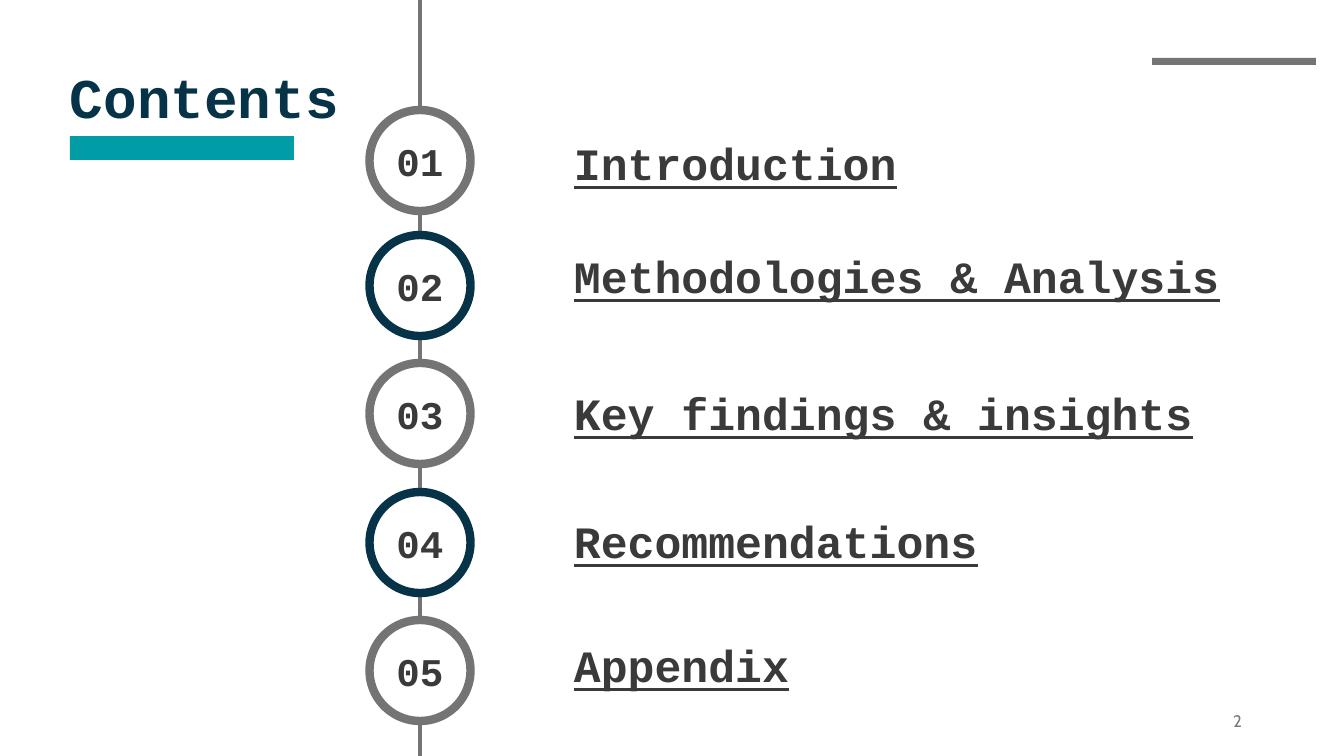
from pptx import Presentation
from pptx import util as u
from pptx.dml.color import RGBColor
from pptx.enum import shapes, text
from pptx.oxml.ns import qn
from lxml import etree

PX = 914400 / 100.8  # EMU in one px
GREY = RGBColor(0x74, 0x74, 0x74)
NAVY = RGBColor(0x06, 0x33, 0x48)
TEAL = RGBColor(0x00, 0x9D, 0xA6)
INK = RGBColor(0x3A, 0x3A, 0x3A)
PAGE_GREY = RGBColor(0x79, 0x79, 0x79)
WHITE = RGBColor(0xFF, 0xFF, 0xFF)

MONO = "Courier New"
AXIS_X = 420
CIRCLE = 101
# entry, top of its circle, top of its label
ENTRIES = [
    ("Introduction", 110, 131),
    ("Methodologies & Analysis", 235, 244),
    ("Key findings & insights", 363, 381),
    ("Recommendations", 492, 509),
    ("Appendix", 620, 633),
]


def px(*lengths):
    return [u.Emu(round(n * PX)) for n in lengths]


def write(tf, words, size, color, name=MONO, bold=True, underline=None,
          align=text.PP_ALIGN.LEFT, anchor=text.MSO_ANCHOR.TOP):
    tf.word_wrap = True
    tf.vertical_anchor = anchor
    p = tf.paragraphs[0]
    p.text = words
    p.alignment = align
    font = p.font
    font.name, font.size, font.bold = name, u.Pt(size), bold
    font.underline = underline
    font.color.rgb = color


def add_text(s, box, words, size, color, **style):
    write(s.shapes.add_textbox(*px(*box)).text_frame, words, size, color, **style)


def add_filled(s, kind, box, fill):
    sp = s.shapes.add_shape(kind, *px(*box))
    sp.shadow.inherit = False
    sp.fill.solid()
    sp.fill.fore_color.rgb = fill
    sp.line.fill.background()
    return sp


def add_bar(s, box, fill):
    add_filled(s, shapes.MSO_SHAPE.RECTANGLE, box, fill)


def add_axis(s):
    line = s.shapes.add_connector(shapes.MSO_CONNECTOR.STRAIGHT,
                                  *px(AXIS_X, 0, AXIS_X, 756))
    line.line.color.rgb = GREY
    line.line.width = u.Pt(3)
    etree.SubElement(line._element.spPr, qn("a:effectLst"))


def add_number(s, top, number, color):
    box = (AXIS_X - CIRCLE / 2, top, CIRCLE, CIRCLE)
    sp = add_filled(s, shapes.MSO_SHAPE.OVAL, box, WHITE)
    sp.line.color.rgb = color
    sp.line.width = u.Pt(6)
    write(sp.text_frame, f"{number:02}", 28, INK,
          align=text.PP_ALIGN.CENTER, anchor=text.MSO_ANCHOR.MIDDLE)


def main():
    prs = Presentation()
    prs.slide_width, prs.slide_height = px(1344, 756)
    s = prs.slides.add_slide(prs.slide_layouts[6])

    add_bar(s, (1152, 58, 164, 7), GREY)
    add_text(s, (60, 58, 672, 78), "Contents", 40, NAVY)
    add_text(s, (950, 701, 302, 40), "2", 12, PAGE_GREY, name="Cabin", bold=False,
             align=text.PP_ALIGN.RIGHT, anchor=text.MSO_ANCHOR.MIDDLE)
    add_bar(s, (70, 136, 224, 24), TEAL)

    add_axis(s)
    for number, (entry, circle_top, label_top) in enumerate(ENTRIES, 1):
        add_number(s, circle_top, number, GREY if number % 2 else NAVY)
        add_text(s, (564, label_top, 672, 65), entry, 32, INK, underline=True)

    prs.save("out.pptx")


if __name__ == "__main__":
    main()
